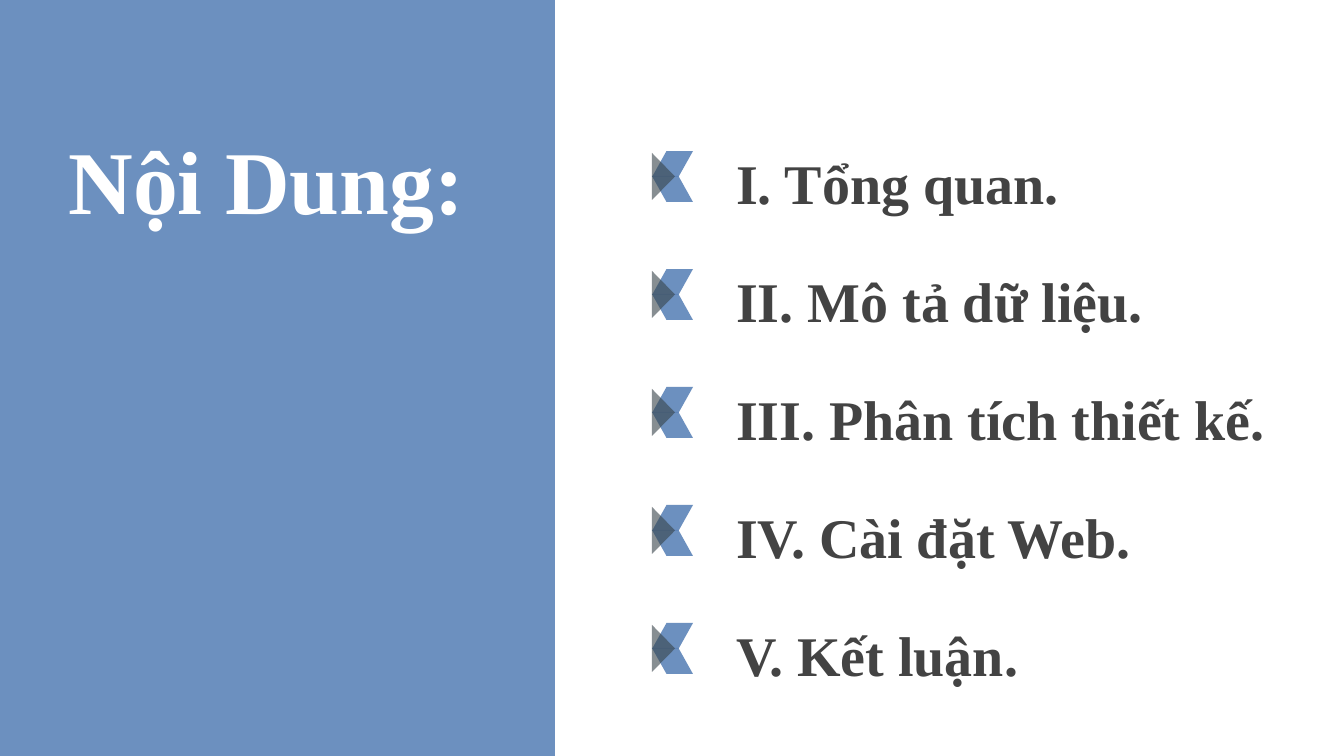
from lxml import etree
from pptx import Presentation
from pptx import util as u
from pptx.dml.color import RGBColor
from pptx.enum import shapes, text
from pptx.oxml.ns import qn

PX = u.Inches(10) / 1344
COLORS = {"blue": "5E85B9", "slate": "38444A", "white": "FFFFFF", "ink": "434343"}
FONT = "Times New Roman"
SECTIONS = [
    "I. Tổng quan.",
    "II. Mô tả dữ liệu.",
    "III. Phân tích thiết kế.",
    "IV. Cài đặt Web.",
    "V. Kết luận.",
]
FIRST_TOP, ROW_STEP = 151, 118


def px(*lengths):
    return [u.Emu(round(length * PX)) for length in lengths]


def add_filled(parent, kind, box, color, opacity, adjustment=None):
    shape = parent.add_shape(kind, *px(*box))
    shape.shadow.inherit = False
    shape.line.fill.background()
    shape.fill.solid()
    shape.fill.fore_color.rgb = RGBColor.from_string(COLORS[color])
    color_element = shape.fill._xPr.find(f"{qn('a:solidFill')}/{qn('a:srgbClr')}")
    etree.SubElement(color_element, qn("a:alpha"), val=str(opacity * 1000))
    if adjustment is not None:
        shape.adjustments[0] = adjustment
    return shape


def write_text(shape, content, *, size, color, anchor, spacing):
    frame = shape.text_frame
    frame.word_wrap = True
    frame.auto_size = text.MSO_AUTO_SIZE.NONE
    frame.vertical_anchor = anchor
    inset = u.Inches(0.1)
    frame.margin_left = frame.margin_right = inset
    frame.margin_top = frame.margin_bottom = inset
    paragraph = frame.paragraphs[0]
    paragraph.alignment = text.PP_ALIGN.LEFT
    paragraph.line_spacing = spacing
    paragraph.space_before = u.Pt(0)
    run = paragraph.add_run()
    run.text = content
    run.font.name = FONT
    run.font.size = u.Pt(size)
    run.font.bold = True
    run.font.color.rgb = RGBColor.from_string(COLORS[color])


def add_title(slide, content):
    title = slide.shapes.title
    title.left, title.top, title.width, title.height = px(55, 101, 527, 259)
    write_text(title, content, size=48, color="white",
               anchor=text.MSO_ANCHOR.TOP, spacing=1.1)


def add_marker(slide, top):
    """Draw two mirrored parallelograms with a triangle pointing into them."""
    group = slide.shapes.add_group_shape().shapes
    kinds = shapes.MSO_SHAPE
    add_filled(group, kinds.PARALLELOGRAM, (652, top, 41, 26), "blue", 91, 0.56)
    lower = add_filled(group, kinds.PARALLELOGRAM, (652, top + 25, 41, 26),
                       "blue", 91, 0.56)
    lower._element.spPr.xfrm.set("flipH", "1")
    triangle = add_filled(group, kinds.ISOSCELES_TRIANGLE, (640, top + 14, 47, 23),
                          "slate", 60, 0.5)
    triangle.rotation = 90


def add_section(slide, content, top):
    add_marker(slide, top)
    box = slide.shapes.add_textbox(*px(723, top - 8, 621, 69))
    write_text(box, content, size=30, color="ink",
               anchor=text.MSO_ANCHOR.MIDDLE, spacing=1.15)


def main():
    presentation = Presentation()
    presentation.slide_width, presentation.slide_height = px(1344, 756)
    slide = presentation.slides.add_slide(presentation.slide_layouts[5])
    panel = add_filled(slide.shapes, shapes.MSO_SHAPE.RECTANGLE,
                       (0, 0, 555, 756), "blue", 91)
    slide.shapes.title._element.addprevious(panel._element)
    add_title(slide, "Nội Dung:")
    for row, section in enumerate(SECTIONS):
        add_section(slide, section, FIRST_TOP + row * ROW_STEP)
    presentation.save("out.pptx")


if __name__ == "__main__":
    main()
